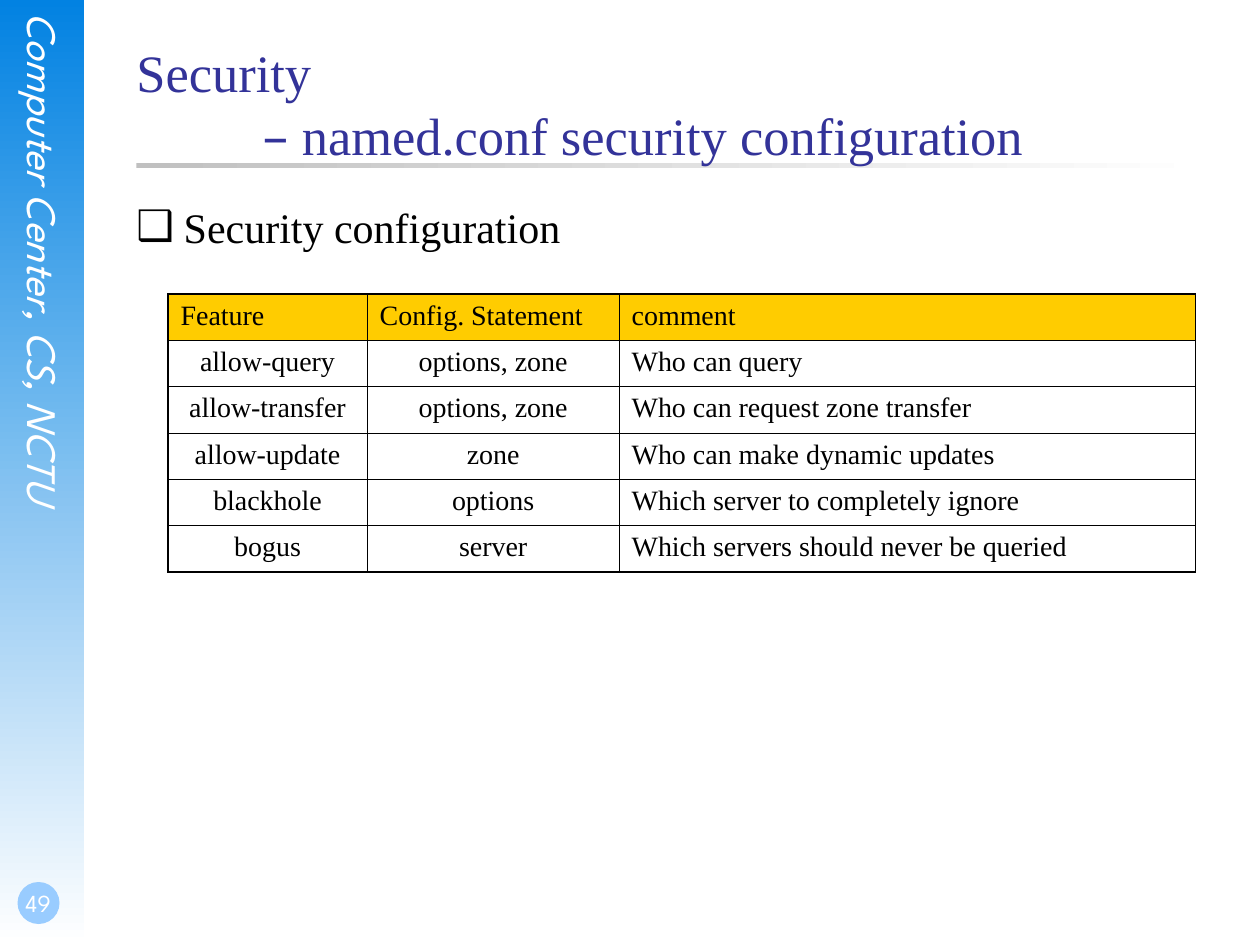
import dataclasses
import typing

import lxml.etree
import pptx
import pptx.dml.color
import pptx.enum.shapes
import pptx.enum.text
import pptx.oxml.ns
import pptx.util

Pt = pptx.util.Pt
ALIGN = pptx.enum.text.PP_ALIGN
ANCHOR = pptx.enum.text.MSO_ANCHOR
SHAPE = pptx.enum.shapes.MSO_SHAPE
COLORS = {
    "sky": "0282E2",
    "white": "FFFFFF",
    "badge": "99CCFF",
    "silver": "C0C0C0",
    "title": "333399",
    "black": "000000",
    "header": "FFCC00",
}
SERIF = "Times New Roman"
SANS = "DejaVu Sans"
DISPLAY = "League Spartan"
THICK, THIN = 1.08, 0.45


@dataclasses.dataclass(frozen=True)
class Area:
    left: float
    top: float
    width: float
    height: float

    def lengths(self) -> tuple:
        return Pt(self.left), Pt(self.top), Pt(self.width), Pt(self.height)


@dataclasses.dataclass(frozen=True)
class Style:
    font: str
    size: float
    color: str
    italic: bool = False


class Feature(typing.NamedTuple):
    name: str
    statement: str
    comment: str


FEATURES = [
    Feature("Feature", "Config. Statement", "comment"),
    Feature("allow-query", "options, zone", "Who can query"),
    Feature("allow-transfer", "options, zone", "Who can request zone transfer"),
    Feature("allow-update", "zone", "Who can make dynamic updates"),
    Feature("blackhole", "options", "Which server to completely ignore"),
    Feature("bogus", "server", "Which servers should never be queried"),
]


def rgb(name: str) -> pptx.dml.color.RGBColor:
    return pptx.dml.color.RGBColor.from_string(COLORS[name])


def add_child(parent, tag: str, **attributes: str):
    child = lxml.etree.SubElement(parent, pptx.oxml.ns.qn(tag))
    for key, value in attributes.items():
        child.set(key, value)
    return child


def add_span(para, text: str, style: Style) -> None:
    span = para.add_run()
    span.text = text
    span.font.name = style.font
    span.font.size = Pt(style.size)
    span.font.italic = style.italic
    span.font.color.rgb = rgb(style.color)


def add_panel(page, kind, area: Area):
    panel = page.shapes.add_shape(kind, *area.lengths())
    panel.shadow.inherit = False
    panel.line.fill.background()
    return panel


def add_fade(page, area: Area, start: str, angle: float) -> None:
    fill = add_panel(page, SHAPE.RECTANGLE, area).fill
    fill.gradient()
    fill.gradient_angle = angle
    for stop, color, position in zip(fill.gradient_stops, (start, "white"), (0, 1)):
        stop.color.rgb = rgb(color)
        stop.position = position


def add_text(page, area: Area, margins=(0, 0, 0, 0), anchor=ANCHOR.TOP):
    frame = page.shapes.add_textbox(*area.lengths()).text_frame
    frame.word_wrap = True
    frame.vertical_anchor = anchor
    frame.margin_left, frame.margin_top, frame.margin_right, frame.margin_bottom = map(Pt, margins)
    return frame


def add_sidebar(page) -> None:
    add_fade(page, Area(0, 0, 48, 540), "sky", 270)
    frame = add_text(page, Area(10.8, 7.2, 28.8, 368))
    frame._txBody.bodyPr.set("vert", "eaVert")
    para = frame.paragraphs[0]
    para.alignment = ALIGN.CENTER
    add_span(para, "Computer Center, CS, NCTU", Style(DISPLAY, 24, "white", True))

    badge = add_panel(page, SHAPE.OVAL, Area(10, 504, 24, 24))
    badge.fill.solid()
    badge.fill.fore_color.rgb = rgb("badge")
    para = add_text(page, Area(0, 492, 42, 36), (1.5, 0, 0, 3.6), ANCHOR.BOTTOM).paragraphs[0]
    para.alignment = ALIGN.CENTER
    add_span(para, "49", Style(DISPLAY, 14, "white"))


def add_title(page) -> None:
    add_fade(page, Area(78, 93, 612, 3), "silver", 0)
    para = add_text(page, Area(78, 23, 612, 90)).paragraphs[0]
    tabs = add_child(para._p.get_or_add_pPr(), "a:tabLst")
    add_child(tabs, "a:tab", pos=str(Pt(72)), algn="l")
    style = Style(SERIF, 30, "title")
    add_span(para, "Security", style)
    para.add_line_break()
    add_span(para, "\t", style)
    add_span(para, "–", dataclasses.replace(style, font=SANS))
    add_span(para, " named.conf security configuration", style)


def add_body(page) -> None:
    para = add_text(page, Area(78, 115, 612, 366)).paragraphs[0]
    properties = para._p.get_or_add_pPr()
    properties.set("marL", str(Pt(27)))
    properties.set("indent", str(Pt(-27)))
    color = add_child(properties, "a:buClr")
    add_child(color, "a:srgbClr", val=COLORS["black"])
    add_child(properties, "a:buFont", typeface=SANS)
    add_child(properties, "a:buChar", char="❑")
    add_span(para, "Security configuration", Style(SERIF, 24, "black"))


def add_borders(cell, widths: dict) -> None:
    properties = cell._tc.get_or_add_tcPr()
    for side, width in widths.items():
        line = add_child(properties, f"a:ln{side}", w=str(Pt(width)))
        fill = add_child(line, "a:solidFill")
        add_child(fill, "a:srgbClr", val=COLORS["black"])


def add_feature_table(page) -> None:
    widths, height = (113.8, 144, 329.4), 26.5
    area = Area(96, 168, sum(widths), height * len(FEATURES))
    table = page.shapes.add_table(len(FEATURES), len(widths), *area.lengths()).table
    table.first_row = table.horz_banding = False
    for column, width in zip(table.columns, widths):
        column.width = Pt(width)
    last_row, last_column = len(FEATURES) - 1, len(widths) - 1
    for row, feature in enumerate(FEATURES):
        table.rows[row].height = Pt(height)
        for column, text in enumerate(feature):
            cell = table.cell(row, column)
            add_borders(cell, {
                "L": THICK if column == 0 else THIN,
                "R": THICK if column == last_column else THIN,
                "T": THICK if row == 0 else THIN,
                "B": THICK if row == last_row else THIN,
            })
            if row == 0:
                cell.fill.solid()
                cell.fill.fore_color.rgb = rgb("header")
            else:
                cell.fill.background()
            para = cell.text_frame.paragraphs[0]
            centered = row > 0 and column < last_column
            para.alignment = ALIGN.CENTER if centered else ALIGN.LEFT
            add_span(para, text, Style(SERIF, 16, "black"))


def main() -> None:
    deck = pptx.Presentation()
    deck.slide_width, deck.slide_height = Pt(720), Pt(540)
    page = deck.slides.add_slide(deck.slide_layouts[6])
    add_sidebar(page)
    add_title(page)
    add_body(page)
    add_feature_table(page)
    deck.save("out.pptx")


if __name__ == "__main__":
    main()
